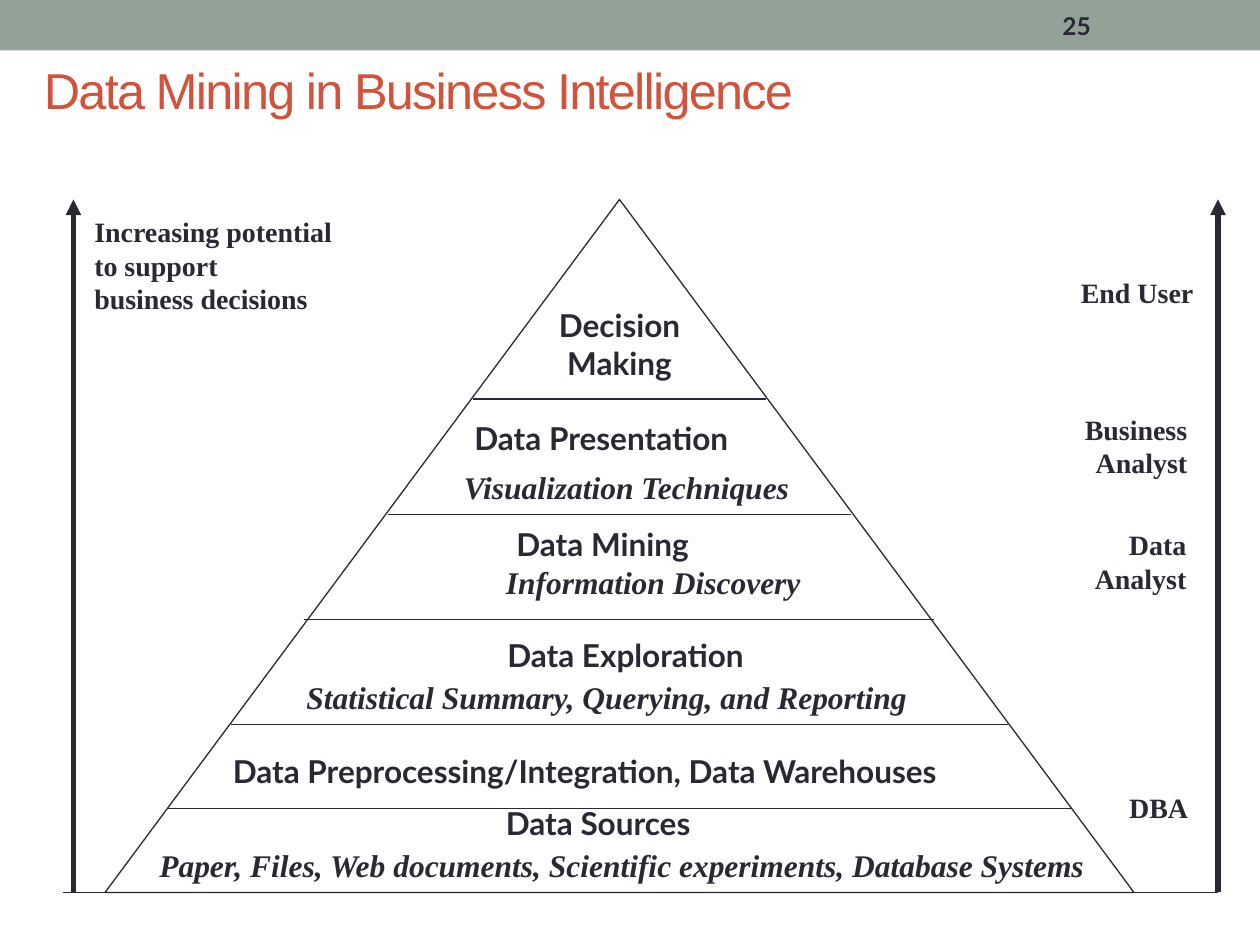
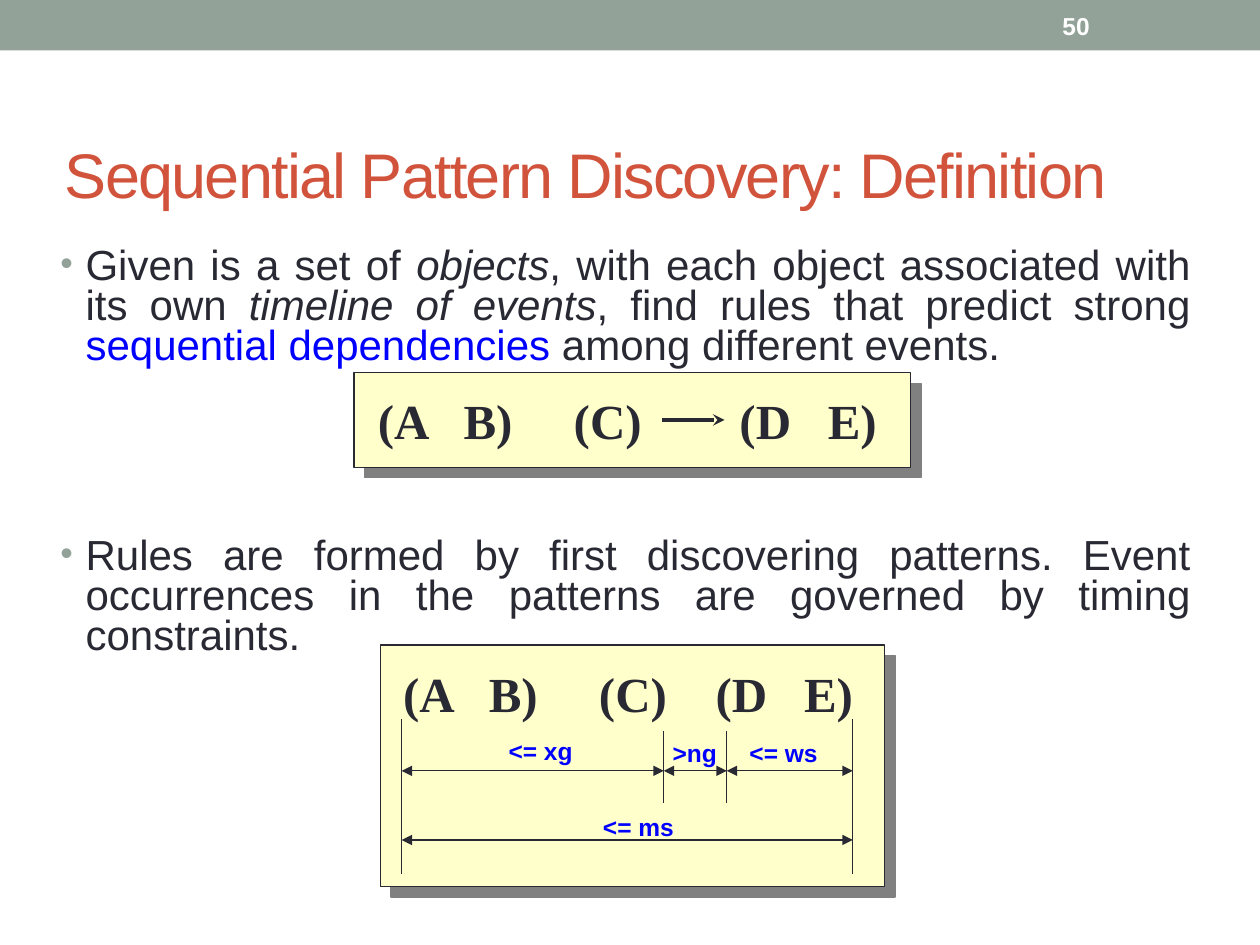
from lxml import etree
from pptx import Presentation
from pptx.dml.color import RGBColor
from pptx.enum import shapes as sh, text as tx
from pptx.oxml import parse_xml
from pptx.oxml.ns import qn, nsdecls
from pptx.util import Pt

INK = RGBColor(0x29, 0x29, 0x34)
SAGE = RGBColor(0x93, 0xA2, 0x99)
RUST = RGBColor(0xD2, 0x53, 0x3C)
BLUE = RGBColor(0x00, 0x00, 0xFF)
CREAM = RGBColor(0xFF, 0xFF, 0xCC)
WHITE = RGBColor(0xFF, 0xFF, 0xFF)
SANS, LATO, SERIF = "Arial", "Lato", "Times New Roman"
LEFT, MID, RIGHT = tx.PP_ALIGN.LEFT, tx.PP_ALIGN.CENTER, tx.PP_ALIGN.RIGHT


def put(page, words, x, y, w, h, size, face, color=INK, bold=True,
        slant=False, align=LEFT, fill=None):
    """Add a text box with one style throughout."""
    box = page.shapes.add_textbox(Pt(x), Pt(y), Pt(w), Pt(h))
    if fill is not None:
        box.fill.solid()
        box.fill.fore_color.rgb = fill
    frame = box.text_frame
    frame.word_wrap = True
    if align == LEFT:
        frame.margin_right = 0
    elif align == RIGHT:
        frame.margin_left = 0
    frame.text = words
    for para in frame.paragraphs:
        para.alignment = align
        for run in para.runs:
            font = run.font
            font.size, font.name, font.color.rgb = Pt(size), face, color
            font.bold, font.italic = bold, slant
    return box


def rule(page, x1, y1, x2, y2, width=0.75, head=None, tail=None):
    """Add a straight line, with arrowheads if named."""
    line = page.shapes.add_connector(
        sh.MSO_CONNECTOR.STRAIGHT, Pt(x1), Pt(y1), Pt(x2), Pt(y2))
    line.line.color.rgb = INK
    line.line.width = Pt(width)
    stroke = line.line._get_or_add_ln()
    for tag, kind in (("a:headEnd", head), ("a:tailEnd", tail)):
        if kind:
            etree.SubElement(stroke, qn(tag), type=kind)
    etree.SubElement(line._element.spPr, qn("a:effectLst"))


deck = Presentation()
deck.slide_width, deck.slide_height = Pt(720), Pt(540)

# Band, page number and title on every slide
heads = [
    ("25", LATO, INK, "Data Mining in Business Intelligence", 28.8, 18, 30),
    ("50", SANS, WHITE, "Sequential Pattern Discovery: Definition", 36, 30, 78),
]
pages = []
for num, face, color, title, size, x, y in heads:
    page = deck.slides.add_slide(deck.slide_layouts[6])
    band = page.shapes.add_shape(sh.MSO_SHAPE.RECTANGLE, 0, 0, Pt(720), Pt(28.8))
    band.shadow.inherit = False
    band.fill.solid()
    band.fill.fore_color.rgb = SAGE
    band.line.fill.background()
    mark = put(page, num, 600, 1.5, 84, 26, 14, face, color)
    top = put(page, title, x, y, 684, 42, size, SANS, RUST, bold=False)
    for box in (mark, top):
        box.text_frame.vertical_anchor = tx.MSO_ANCHOR.MIDDLE
    top.text_frame.paragraphs[0].runs[0].font._element.set("spc", "-100")
    pages.append(page)
tower, rules = pages

# Slide 1: pyramid and its levels
cone = tower.shapes.add_shape(
    sh.MSO_SHAPE.FLOWCHART_EXTRACT, Pt(60), Pt(114), Pt(588), Pt(396))
cone.shadow.inherit = False
cone.fill.background()
cone.line.color.rgb = INK
cone.line.width = Pt(0.75)
for x1, x2, y in [(96, 612, 462), (132, 576, 414), (174, 534, 354),
                  (222, 486, 294), (270, 438, 228), (36, 696, 510)]:
    rule(tower, x1, y, x2, y)

# Arrows at both sides
for x in (42, 696):
    rule(tower, x, 510, x, 114, 3, tail="triangle")

# Notes and roles beside the pyramid
put(tower, "Increasing potential\nto support\nbusiness decisions",
    46.8, 119, 151, 65, 16, SERIF)
for role, y, edge in [("End User", 154, 689), ("Business\nAnalyst", 232, 685.5),
                      ("Data\nAnalyst", 298, 685), ("DBA", 448, 686)]:
    put(tower, role, edge - 90, y, 90, 26, 16, SERIF, align=RIGHT)

# Level names, then what each level uses
for name, x, y, w, align in [
        ("Decision Making", 306, 171.5, 96, MID),
        ("Data Presentation", 264, 236, 178, LEFT),
        ("Data Mining", 288, 296.5, 140, LEFT),
        ("Data Exploration", 265, 360, 185, MID),
        ("Data Preprocessing/Integration, Data Warehouses", 126, 426, 474, LEFT),
        ("Data Sources", 282, 456, 134, LEFT)]:
    put(tower, name, x, y, w, 29, 18, LATO, align=align)
for name, x, y, w in [
        ("Visualization Techniques", 258, 264, 203),
        ("Information Discovery", 282, 318, 183),
        ("Statistical Summary, Querying, and Reporting", 168, 384, 360),
        ("Paper, Files, Web documents, Scientific experiments, Database Systems",
         84, 480, 560)]:
    put(tower, name, x, y, w, 29, 18, SERIF, slant=True)

# Slide 2: bulleted body
body = rules.shapes.add_textbox(Pt(27.4), Pt(138.2), Pt(660), Pt(156))
frame = body.text_frame
frame.word_wrap = True
points = [
    [("Given is a set of ", INK, False), ("objects", INK, True),
     (", with each object associated with its own ", INK, False),
     ("timeline of events", INK, True),
     (", find rules that predict strong ", INK, False),
     ("sequential dependencies", BLUE, False),
     (" among different events.", INK, False)],
    [("Rules are formed by first discovering patterns. Event occurrences in "
      "the patterns are governed by timing constraints.", INK, False)],
]
for i, parts in enumerate(points):
    para = frame.add_paragraph() if i else frame.paragraphs[0]
    para.alignment = tx.PP_ALIGN.JUSTIFY
    para.line_spacing = 0.8
    para.space_before = Pt(96.5 * i)
    props = para._p.get_or_add_pPr()
    props.set("marL", str(Pt(14.4)))
    props.set("indent", str(-Pt(14.4)))
    tint = etree.SubElement(props, qn("a:buClr"))
    etree.SubElement(tint, qn("a:srgbClr"), val=str(SAGE))
    etree.SubElement(props, qn("a:buSzPct"), val="85000")
    etree.SubElement(props, qn("a:buFont"), typeface=SANS)
    etree.SubElement(props, qn("a:buChar"), char="•")
    for words, color, slant in parts:
        run = para.add_run()
        run.text = words
        run.font.size, run.font.name = Pt(24), SANS
        run.font.color.rgb, run.font.italic = color, slant

# Cream panels with a hard shadow, each with a tabbed pattern
for x, y, w, h, tx_x, tx_y, stops in [
        (217.5, 368.6, 288, 138, 223.2, 375.8, (49, 112, 178.7, 229.2)),
        (202.3, 213, 318, 54, 208.8, 219.6, (49, 112, 206.7, 257.2))]:
    panel = rules.shapes.add_shape(
        sh.MSO_SHAPE.RECTANGLE, Pt(x), Pt(y), Pt(w), Pt(h))
    panel.fill.solid()
    panel.fill.fore_color.rgb = CREAM
    panel.line.color.rgb = INK
    panel.line.width = Pt(0.75)
    panel._element.spPr.append(parse_xml(
        f'<a:effectLst {nsdecls("a")}><a:outerShdw dist="{Pt(8.5)}" '
        'dir="2700000" algn="ctr" rotWithShape="0">'
        '<a:srgbClr val="808080"/></a:outerShdw></a:effectLst>'))
    box = put(rules, "(A\tB)\t(C)\t(D\tE)", tx_x, tx_y, stops[-1] + 43, 41,
              28, SERIF, fill=CREAM)
    props = box.text_frame.paragraphs[0]._p.get_or_add_pPr()
    tabs = etree.SubElement(props, qn("a:tabLst"))
    for stop in stops:
        etree.SubElement(tabs, qn("a:tab"), pos=str(Pt(stop)), algn="l")
rule(rules, 378, 240, 414, 240, 2.25, tail="stealth")

# Timing constraints: labels, spans and limits
for name, x, y, w in [("<= ms", 337.5, 460.3, 55), ("<= xg", 283.5, 417, 51),
                      (">ng", 377.3, 418.3, 39.5), ("<= ws", 421.2, 418.3, 53)]:
    put(rules, name, x, y, w, 24, 14, SANS, BLUE, fill=CREAM)
start, gap, end, stop = 229.5, 379.3, 415.3, 487.3
for x1, x2, y in [(start, stop, 480), (start, gap, 440.5),
                  (gap, end, 440.5), (end, stop, 440.5)]:
    rule(rules, x1, y, x2, y, head="triangle", tail="triangle")
for x, y1, y2 in [(start, 411, 499.5), (gap, 417.6, 458.6),
                  (end, 417.6, 458.6), (stop, 411, 499.5)]:
    rule(rules, x, y1, x, y2)

deck.save("out.pptx")
